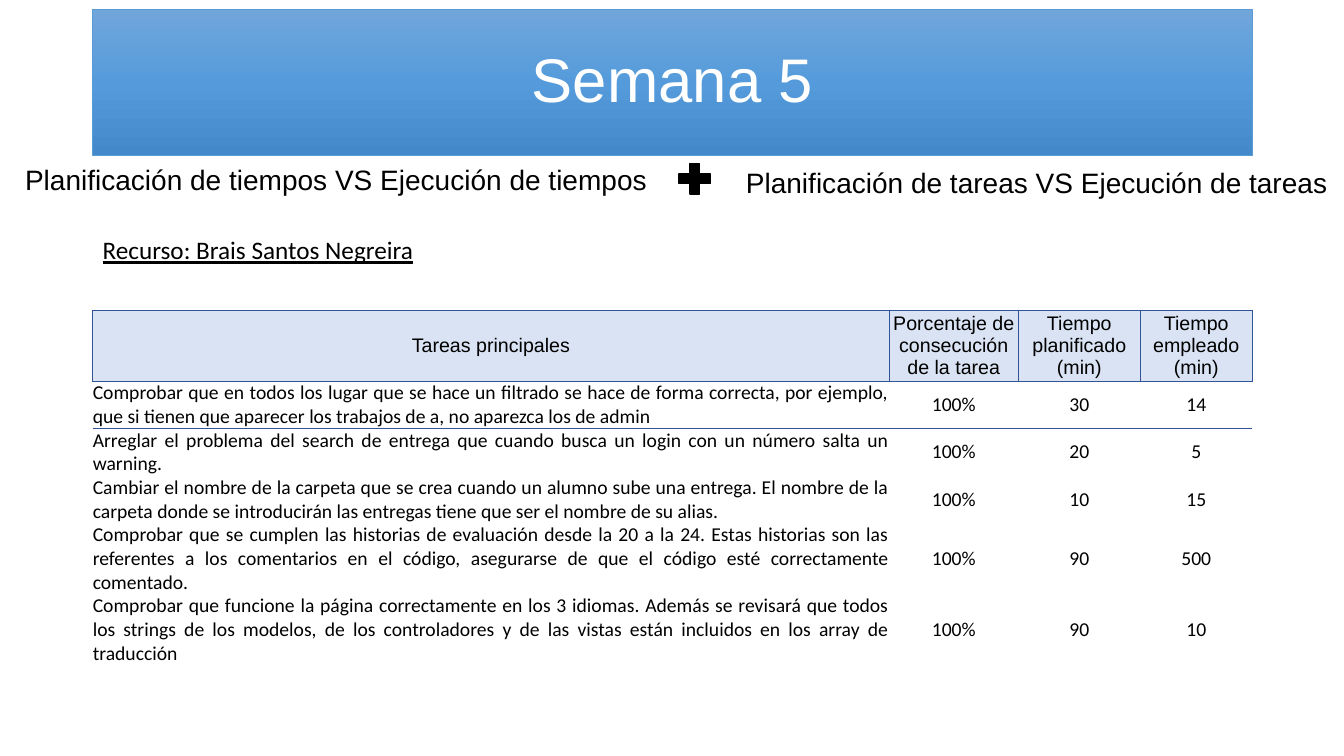
from copy import deepcopy

from lxml import etree
from pptx import Presentation
from pptx import util as u
from pptx.dml.color import RGBColor
from pptx.enum import shapes, text
from pptx.oxml.ns import qn

BLACK = RGBColor(0x00, 0x00, 0x00)
WHITE = RGBColor(0xFF, 0xFF, 0xFF)
BANNER_LINE = RGBColor(0x5B, 0x9B, 0xD5)
BANNER_STOPS = [
    (0, RGBColor(0x71, 0xA6, 0xDB)),
    (0.5, RGBColor(0x55, 0x9B, 0xDB)),
    (1, RGBColor(0x44, 0x8A, 0xCA)),
]
HEADER_FILL = RGBColor(0xDA, 0xE3, 0xF3)
HEADER_LINE = RGBColor(0x2F, 0x55, 0x97)
PLAIN_TABLE_STYLE = "{2D5ABB26-0587-4C30-8999-92F81FD0307C}"

LEFT, WIDTH = 0.92, 11.5
COLUMNS = [7.9, 1.28, 1.21, 1.11]
HEADER_HEIGHT, LINE_HEIGHT = 0.7, 0.235
HEADERS = [
    "Tareas principales",
    "Porcentaje de consecución de la tarea",
    "Tiempo planificado (min)",
    "Tiempo empleado (min)",
]
TASKS = [
    (2, "Comprobar que en todos los lugar que se hace un filtrado se hace de forma correcta, por ejemplo, "
        "que si tienen que aparecer los trabajos de a, no aparezca los de admin", "100%", "30", "14"),
    (2, "Arreglar el problema del search de entrega que cuando busca un login con un número salta un warning.",
     "100%", "20", "5"),
    (2, "Cambiar el nombre de la carpeta que se crea cuando un alumno sube una entrega. El nombre de la "
        "carpeta donde se introducirán las entregas tiene que ser el nombre de su alias.", "100%", "10", "15"),
    (3, "Comprobar que se cumplen las historias de evaluación desde la 20 a la 24. Estas historias son las "
        "referentes a los comentarios en el código, asegurarse de que el código esté correctamente comentado.",
     "100%", "90", "500"),
    (3, "Comprobar que funcione la página correctamente en los 3 idiomas. Además se revisará que todos los "
        "strings de los modelos, de los controladores y de las vistas están incluidos en los array de traducción",
     "100%", "90", "10"),
]


def inches(box):
    return [u.Inches(length) for length in box]


def write(frame, words, size, font="Arial", color=BLACK, align=text.PP_ALIGN.LEFT, underline=None):
    para = frame.paragraphs[0]
    para.alignment = align
    span = para.add_run()
    span.text = words
    span.font.color.rgb = color
    for name, value in {"size": u.Pt(size), "name": font, "underline": underline}.items():
        setattr(span.font, name, value)
    return para


def add_banner(page, box):
    title = page.shapes.title
    for name, value in zip(("left", "top", "width", "height"), inches(box)):
        setattr(title, name, value)
    title.fill.gradient()
    title.fill.gradient_angle = 270
    stops = title._element.spPr.find(qn("a:gradFill")).find(qn("a:gsLst"))
    stops.append(deepcopy(stops[-1]))
    for stop, (position, color) in zip(title.fill.gradient_stops, BANNER_STOPS):
        stop.position = position
        stop.color.rgb = color
    title.line.color.rgb = BANNER_LINE
    title.line.width = u.Pt(0.5)
    frame = title.text_frame
    frame.auto_size = text.MSO_AUTO_SIZE.NONE
    frame.vertical_anchor = text.MSO_ANCHOR.MIDDLE
    para = write(frame, "Semana 5", 44, color=WHITE, align=text.PP_ALIGN.CENTER)
    para.line_spacing = 0.9


def add_label(page, box, words, size, **style):
    frame = page.shapes.add_textbox(*inches(box)).text_frame
    frame.word_wrap = True
    write(frame, words, size, **style)


def add_plus(page, box):
    plus = page.shapes.add_shape(shapes.MSO_SHAPE.MATH_PLUS, *inches(box))
    plus.shadow.inherit = False
    plus.fill.solid()
    plus.fill.fore_color.rgb = BLACK
    plus.line.color.rgb = BLACK
    plus.line.width = u.Pt(1)


def add_borders(cell, sides):
    properties = cell._tc.get_or_add_tcPr()
    for side in sides:
        border = etree.SubElement(properties, qn(f"a:ln{side}"), w=str(u.Pt(1)))
        fill = etree.SubElement(border, qn("a:solidFill"))
        etree.SubElement(fill, qn("a:srgbClr"), val=str(HEADER_LINE))


def fill_cell(cell, words, font, align):
    for name in ("margin_left", "margin_top", "margin_right", "margin_bottom"):
        setattr(cell, name, 0)
    cell.vertical_anchor = text.MSO_ANCHOR.MIDDLE
    write(cell.text_frame, words, 14, font=font, align=align)


def add_tasks(page, left, top):
    heights = [HEADER_HEIGHT] + [lines * LINE_HEIGHT for lines, *_ in TASKS]
    box = inches((left, top, sum(COLUMNS), sum(heights)))
    table = page.shapes.add_table(len(heights), len(COLUMNS), *box).table
    table.first_row = table.horz_banding = False
    table._tbl.tblPr.find(qn("a:tableStyleId")).text = PLAIN_TABLE_STYLE
    for column, width in zip(table.columns, COLUMNS):
        column.width = u.Inches(width)
    for row, height in zip(table.rows, heights):
        row.height = u.Inches(height)
    for cell, words in zip(table.rows[0].cells, HEADERS):
        fill_cell(cell, words, "Arial", text.PP_ALIGN.CENTER)
        add_borders(cell, "LRTB")
        cell.fill.solid()
        cell.fill.fore_color.rgb = HEADER_FILL
    for number, (_, *values) in enumerate(TASKS, 1):
        for place, words in enumerate(values):
            cell = table.cell(number, place)
            align = text.PP_ALIGN.CENTER if place else text.PP_ALIGN.JUSTIFY
            fill_cell(cell, words, "Calibri", align)
            if number == 1:
                add_borders(cell, "T")
            cell.fill.background()


def build_week(page):
    add_banner(page, (LEFT, 0.09, WIDTH, 1.45))
    add_label(page, (LEFT, 2.28, 3.67, 0.4), "Recurso: Brais Santos Negreira", 18, font="Calibri", underline=True)
    add_label(page, (7.3, 1.59, 6.04, 0.44), "Planificación de tareas VS Ejecución de tareas", 20)
    add_label(page, (0.15, 1.56, 6.47, 0.44), "Planificación de tiempos VS Ejecución de tiempos", 20)
    add_plus(page, (6.68, 1.57, 0.42, 0.41))
    add_tasks(page, LEFT, 3.08)


def main():
    deck = Presentation()
    deck.slide_width, deck.slide_height = u.Inches(13.33), u.Inches(7.5)
    build_week(deck.slides.add_slide(deck.slide_layouts[5]))
    deck.save("out.pptx")


if __name__ == "__main__":
    main()
